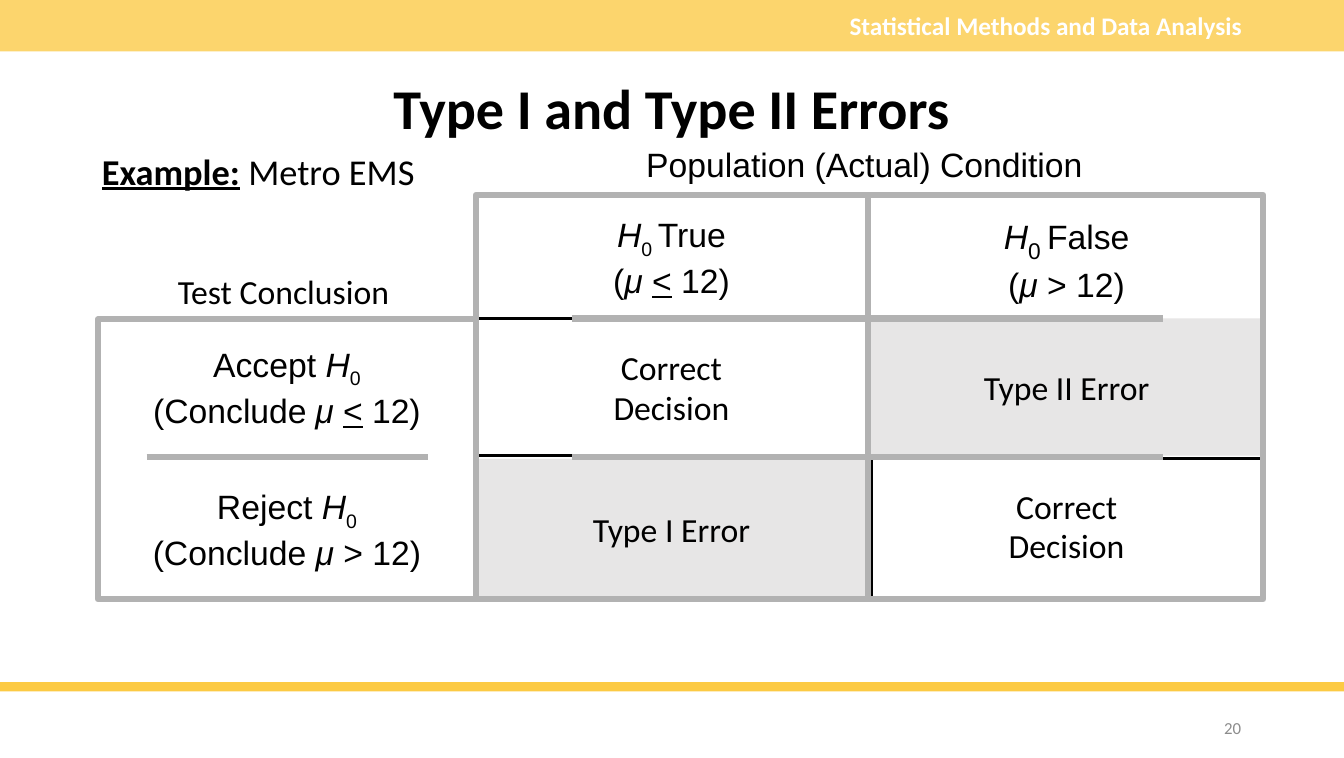
import lxml.etree
import pptx
import pptx.dml.color
import pptx.enum.shapes
import pptx.enum.text
import pptx.oxml.ns
import pptx.util

BLACK = pptx.dml.color.RGBColor(0x00, 0x00, 0x00)
WHITE = pptx.dml.color.RGBColor(0xFF, 0xFF, 0xFF)
GOLD = pptx.dml.color.RGBColor(0xFC, 0xCA, 0x44)
PALE = pptx.dml.color.RGBColor(0xE7, 0xE6, 0xE6)
GRAY = pptx.dml.color.RGBColor(0xB2, 0xB2, 0xB2)
DIM = pptx.dml.color.RGBColor(0x8C, 0x8C, 0x8C)

PX = 9144
WIDTH, HEIGHT = 1330, 750
SHAPES = pptx.enum.shapes.MSO_SHAPE
ALIGN = pptx.enum.text.PP_ALIGN
ANCHOR = pptx.enum.text.MSO_ANCHOR

CALIBRI = {"name": "Calibri", "size": pptx.util.Pt(24)}
ARIAL = {"name": "Arial", "size": pptx.util.Pt(24)}
ITALIC = {"italic": True}
UNDERLINE = {"underline": True}
BOLD = {"bold": True}
LEFT = {"alignment": ALIGN.LEFT}
CENTER = {"alignment": ALIGN.CENTER}
RIGHT = {"alignment": ALIGN.RIGHT}

SUBSCRIPT = {"baseline": "-25000"}
H_ZERO = [("H", ITALIC), ("0", SUBSCRIPT)]
AT_MOST = [("μ ", ITALIC), ("<", UNDERLINE), (" 12)", {})]
ABOVE = [("μ", ITALIC), (" > 12)", {})]
CORRECT = [[("Correct", {})], [("Decision", {})]]


class Slide:
    """Draws styled elements on one slide, measured in px."""

    def __init__(self):
        self.deck = pptx.Presentation()
        self.deck.slide_width = WIDTH * PX
        self.deck.slide_height = HEIGHT * PX
        self.page = self.deck.slides.add_slide(self.deck.slide_layouts[6])

    def apply(self, target, values):
        for key, value in values.items():
            setattr(target, key, value)

    def box(self, bounds, fill=None, line=None, weight=0, alpha=None):
        box = self.page.shapes.add_shape(SHAPES.RECTANGLE, *[n * PX for n in bounds])
        box.shadow.inherit = False
        if fill is None:
            box.fill.background()
        else:
            box.fill.solid()
            box.fill.fore_color.rgb = fill
        if line is None:
            box.line.fill.background()
        else:
            box.line.color.rgb = line
            box.line.width = pptx.util.Pt(weight)
        if alpha is not None:
            tint = box._element.spPr.find(".//" + pptx.oxml.ns.qn("a:srgbClr"))
            lxml.etree.SubElement(tint, pptx.oxml.ns.qn("a:alpha"), val=str(alpha * 1000))

    def rule(self, x1, y1, x2, y2):
        rule = self.page.shapes.add_connector(
            pptx.enum.shapes.MSO_CONNECTOR.STRAIGHT, x1 * PX, y1 * PX, x2 * PX, y2 * PX)
        rule.line.color.rgb = GRAY
        rule.line.width = pptx.util.Pt(4.5)
        lxml.etree.SubElement(rule._element.spPr, pptx.oxml.ns.qn("a:effectLst"))

    def text(self, bounds, lines, style=CALIBRI, color=BLACK, layout=CENTER,
             anchor=ANCHOR.MIDDLE, wrap=False):
        box = self.page.shapes.add_textbox(*[n * PX for n in bounds])
        frame = box.text_frame
        self.apply(frame, {"word_wrap": wrap, "vertical_anchor": anchor})
        for index, spans in enumerate(lines):
            para = frame.add_paragraph() if index else frame.paragraphs[0]
            self.apply(para, layout)
            for words, changes in spans:
                span = para.add_run()
                span.text = words
                values = {**style, **changes}
                baseline = values.pop("baseline", None)
                self.apply(span.font, values)
                span.font.color.rgb = color
                if baseline:
                    span._r.get_or_add_rPr().set("baseline", baseline)


def main():
    slide = Slide()

    slide.box((0, 0, WIDTH, 51), fill=GOLD, alpha=78)
    slide.text((681, 5, 558, 40), [[("Statistical Methods and Data Analysis", BOLD)]],
               {**CALIBRI, "size": pptx.util.Pt(18)}, WHITE, RIGHT, ANCHOR.TOP, True)
    slide.box((0, 675, WIDTH, 9), fill=GOLD)

    true_cell, false_cell = (471, 387), (862, 387)
    label_cell = (97, 374)
    header_row, accept_row, reject_row = (195, 119), (315, 136), (454, 139)

    def cell(column, row):
        return column[0], row[0], column[1], row[1]

    tight = {**CENTER, "line_spacing": 0.8, "space_before": pptx.util.Pt(4.8)}
    outlined = {"line": BLACK, "weight": 2.25}
    shaded = {"fill": PALE}
    outcomes = [
        (true_cell, accept_row, CORRECT, outlined, CENTER),
        (false_cell, accept_row, [[("Type II Error", {})]], shaded, CENTER),
        (false_cell, reject_row, CORRECT, outlined, tight),
        (true_cell, reject_row, [[("Type I Error", {})]], shaded, CENTER),
    ]
    for column, row, lines, look, layout in outcomes:
        slide.box(cell(column, row), **look)
        slide.text(cell(column, row), lines, layout=layout)

    large_subscript = {**SUBSCRIPT, "size": pptx.util.Pt(28)}
    small_gap = {"size": pptx.util.Pt(22)}
    headings = [
        (label_cell, reject_row,
         [[("Reject ", {}), *H_ZERO], [("(Conclude ", {}), *ABOVE]]),
        (label_cell, accept_row,
         [[("Accept ", {}), *H_ZERO], [("(Conclude", {}), (" ", small_gap), *AT_MOST]]),
        (true_cell, header_row,
         [[("H", ITALIC), ("0 ", SUBSCRIPT), ("True", {})], [("(", {}), *AT_MOST]]),
        (false_cell, header_row,
         [[("H", ITALIC), ("0 ", large_subscript), ("False", {})], [("(", {}), *ABOVE]]),
    ]
    for column, row, lines in headings:
        slide.text(cell(column, row), lines, ARIAL)

    slide.text((94, 262, 373, 52), [[("Test Conclusion", {})]])
    slide.text((468, 135, 784, 54), [[("Population (Actual) Condition ", {})]], ARIAL)

    slide.rule(859, 196, 859, 592)
    slide.box((471, 193, 779, 400), line=GRAY, weight=4.5)
    slide.box((97, 316, 374, 277), line=GRAY, weight=4.5)
    for left, right, y in [(566, 1151, 315), (145, 424, 452), (566, 1151, 452)]:
        slide.rule(left, y, right, y)

    slide.text((91, 70, 1147, 80), [[("Type I and Type II Errors", BOLD)]],
               {**CALIBRI, "size": pptx.util.Pt(40)},
               layout={**CENTER, "line_spacing": 0.9}, wrap=True)
    slide.text((91, 154, 1147, 43),
               [[("Example:", {**BOLD, **UNDERLINE}), (" ", BOLD), ("Metro EMS", {})]],
               {**CALIBRI, "size": pptx.util.Pt(25.9)},
               layout={**LEFT, "line_spacing": 0.7, "space_before": pptx.util.Pt(10)},
               anchor=ANCHOR.TOP, wrap=True)
    slide.text((1170, 705, 68, 30), [[("20", {})]],
               {**CALIBRI, "size": pptx.util.Pt(12)}, DIM, RIGHT, wrap=True)

    slide.deck.save("out.pptx")


if __name__ == "__main__":
    main()
